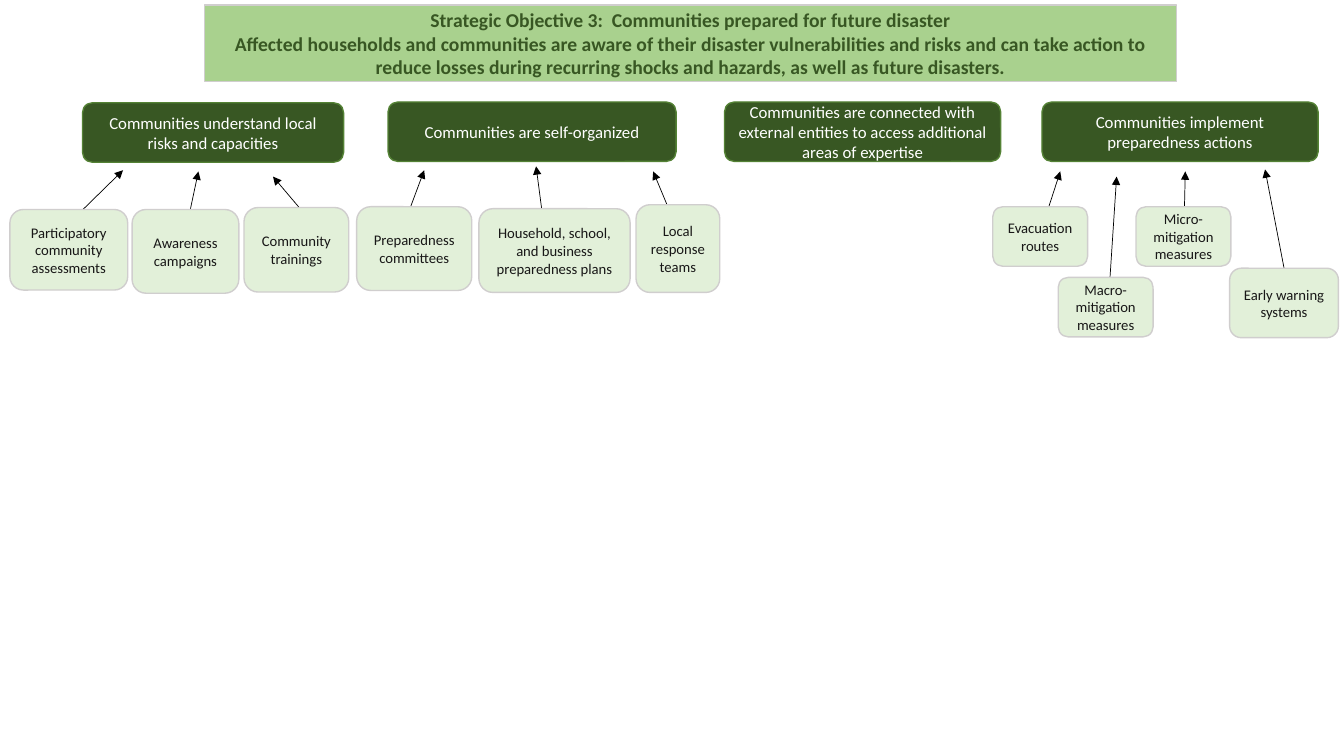
from lxml.etree import SubElement
from pptx import Presentation
from pptx.dml.color import RGBColor
from pptx.enum.shapes import MSO_CONNECTOR, MSO_SHAPE
from pptx.enum.text import MSO_ANCHOR, MSO_AUTO_SIZE, PP_ALIGN
from pptx.oxml.ns import qn
from pptx.util import Cm, Pt

OBJECTIVE = [
    "Strategic Objective 3:  Communities prepared for future disaster",
    "Affected households and communities are aware of their disaster vulnerabilities "
    "and risks and can take action to reduce losses during recurring shocks and "
    "hazards, as well as future disasters.",
]
OBJECTIVE_PLACE = (5.16, 0.13, 24.49, 1.93)

# Text, then left, top, width and height in cm
OUTCOMES = [
    ("Communities understand local risks and capacities", (2.08, 2.59, 6.58, 1.5)),
    ("Communities are self-organized", (9.78, 2.57, 7.26, 1.5)),
    ("Communities are connected with external entities to access additional "
     "areas of expertise", (18.26, 2.57, 6.96, 1.5)),
    ("Communities implement preparedness actions", (26.26, 2.57, 6.96, 1.5)),
]

# Text, place, then start and tip of the arrow towards the outcome
ACTIVITIES = [
    ("Participatory community assessments", (0.25, 5.28, 2.97, 2.03), (2.06, 5.31), (3.1, 4.29)),
    ("Awareness campaigns", (3.33, 5.28, 2.69, 2.11), (4.8, 5.26), (5, 4.32)),
    ("Community trainings", (6.15, 5.23, 2.64, 2.13), (7.54, 5.23), (6.88, 4.45)),
    ("Preparedness committees", (8.99, 5.21, 2.9, 2.11), (10.34, 5.23), (10.69, 4.29)),
    ("Household, school, and business preparedness plans",
     (12.07, 5.26, 3.81, 2.11), (13.67, 5.41), (13.51, 4.19)),
    ("Local response teams", (16.03, 5.16, 2.11, 2.21), (16.81, 5.16), (16.46, 4.32)),
    ("Evacuation routes", (25.02, 5.21, 2.39, 1.5), (26.34, 5.49), (26.72, 4.32)),
    ("Macro-mitigation measures", (26.67, 6.99, 2.39, 1.5), (27.97, 7.04), (28.14, 4.45)),
    ("Micro-mitigation measures", (28.63, 5.21, 2.39, 1.5), (29.85, 5.21), (29.87, 4.32)),
    ("Early warning systems", (30.99, 6.76, 2.74, 1.75), (32.36, 6.76), (31.88, 4.27)),
]

OBJECTIVE_STYLE = {"fill": "A9D18E", "line": "D0CECE", "color": "385723",
                   "font": {"name": "Calibri", "size": Pt(14), "bold": True}}
OUTCOME_STYLE = {"fill": "385723", "line": "548235", "color": "FFFFFF",
                 "font": {"name": "Calibri", "size": Pt(12)}}
ACTIVITY_STYLE = {"fill": "E2F0D9", "line": "D0CECE", "color": "181717",
                  "font": {"name": "Calibri", "size": Pt(10.5)}}
FRAME_FORMAT = {"word_wrap": True, "auto_size": MSO_AUTO_SIZE.NONE,
                "vertical_anchor": MSO_ANCHOR.MIDDLE}
PARAGRAPH_FORMAT = {"alignment": PP_ALIGN.CENTER, "space_before": Pt(0), "line_spacing": 1.0}


def set_all(target, values):
    for attribute, value in values.items():
        setattr(target, attribute, value)


def paint(color_format, hex_color):
    color_format.rgb = RGBColor.from_string(hex_color)


def style_box(box, paragraphs, style):
    box.shadow.inherit = False
    box.fill.solid()
    paint(box.fill.fore_color, style["fill"])
    paint(box.line.color, style["line"])
    box.line.width = Pt(1)
    frame = box.text_frame
    set_all(frame, FRAME_FORMAT)
    frame.text = "\n".join(paragraphs)
    for paragraph in frame.paragraphs:
        set_all(paragraph, PARAGRAPH_FORMAT)
        for run in paragraph.runs:
            set_all(run.font, style["font"])
            paint(run.font.color, style["color"])


def add_objective(slide):
    """Turn the title placeholder into the rounded banner."""
    banner = slide.shapes.title
    set_all(banner, dict(zip(("left", "top", "width", "height"), map(Cm, OBJECTIVE_PLACE))))
    outline = SubElement(banner.element.spPr, qn("a:prstGeom"), prst="roundRect")
    SubElement(outline, qn("a:avLst"))
    style_box(banner, OBJECTIVE, OBJECTIVE_STYLE)


def add_box(slide, text, place, style):
    box = slide.shapes.add_shape(MSO_SHAPE.ROUNDED_RECTANGLE, *map(Cm, place))
    style_box(box, [text], style)


def add_arrow(slide, start, tip):
    arrow = slide.shapes.add_connector(MSO_CONNECTOR.STRAIGHT, *map(Cm, start + tip))
    paint(arrow.line.color, "000000")
    arrow.line.width = Pt(0.5)
    SubElement(arrow.line._get_or_add_ln(), qn("a:tailEnd"), type="triangle")
    SubElement(arrow._element.spPr, qn("a:effectLst"))


def main():
    deck = Presentation()
    set_all(deck, {"slide_width": Cm(33.87), "slide_height": Cm(19.05)})
    slide = deck.slides.add_slide(deck.slide_layouts.get_by_name("Title Only"))
    add_objective(slide)
    for text, place in OUTCOMES:
        add_box(slide, text, place, OUTCOME_STYLE)
    for _, _, start, tip in ACTIVITIES:
        add_arrow(slide, start, tip)
    for text, place, _, _ in ACTIVITIES:
        add_box(slide, text, place, ACTIVITY_STYLE)
    deck.save("out.pptx")


if __name__ == "__main__":
    main()
